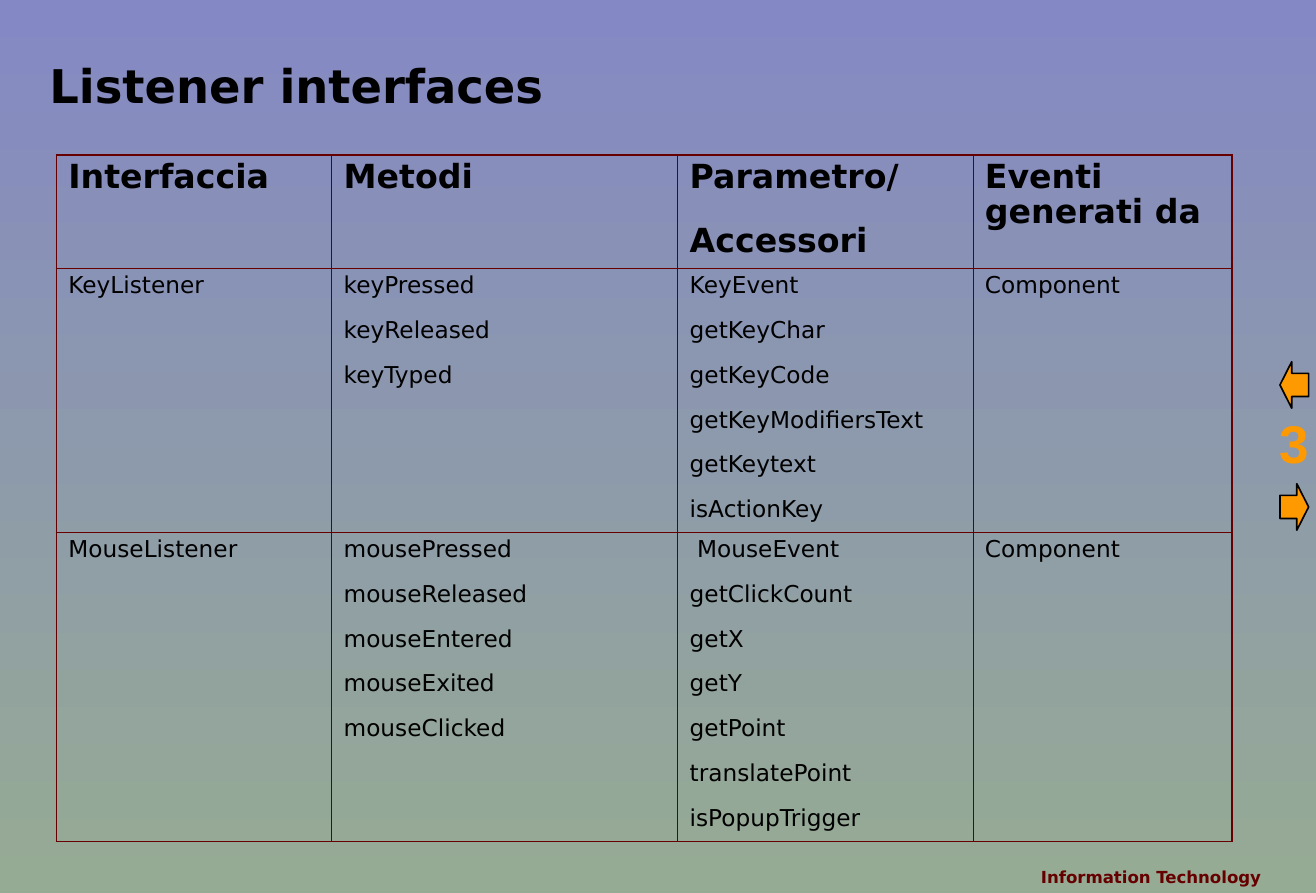
from lxml import etree
from pptx import Presentation
from pptx import util as u
from pptx.dml.color import RGBColor
from pptx.enum import shapes, text
from pptx.oxml import ns

COLORS = {"top": "8488C4", "bottom": "96AB94", "rule": "660000", "ink": "000000", "accent": "FF9900"}
TITLE = "Listener interfaces"
FOOTER = "Information Technology"
NUMBER = "3"
ROWS = [
    [["Interfaccia"], ["Metodi"], ["Parametro/", "Accessori"], ["Eventi generati da"]],
    [["KeyListener"],
     ["keyPressed", "keyReleased", "keyTyped"],
     ["KeyEvent", "getKeyChar", "getKeyCode", "getKeyModifiersText", "getKeytext", "isActionKey"],
     ["Component"]],
    [["MouseListener"],
     ["mousePressed", "mouseReleased", "mouseEntered", "mouseExited", "mouseClicked"],
     [" MouseEvent", "getClickCount", "getX", "getY", "getPoint", "translatePoint", "isPopupTrigger"],
     ["Component"]],
]
COLUMN_WIDTHS = [166, 208.7, 178, 156.2]
ROW_HEIGHTS = [68.2, 159.2, 186.7]
TABLE_LEFT, TABLE_TOP = 34, 93.6
OUTER, INNER = 1.08, 0.45
ARROWS = [(shapes.MSO_SHAPE.RIGHT_ARROW, 291.8), (shapes.MSO_SHAPE.LEFT_ARROW, 218.2)]


def rgb(name):
    """Return the named colour."""
    return RGBColor.from_string(COLORS[name])


def write(frame, lines, size, color="ink", font="DejaVu Sans", bold=True,
          align=text.PP_ALIGN.LEFT, spacing=None, before=None):
    """Fill a text frame with one paragraph per line."""
    for index, line in enumerate(lines):
        para = frame.add_paragraph() if index else frame.paragraphs[0]
        para.alignment = align
        para.line_spacing = spacing
        para.space_before = None if before is None else u.Pt(before)
        span = para.add_run()
        span.text = line
        span.font.name, span.font.size, span.font.bold = font, u.Pt(size), bold
        span.font.color.rgb = rgb(color)


def add_label(page, line, bounds, size, inset=(0, 0), wrap=True,
              anchor=text.MSO_ANCHOR.TOP, **style):
    """Add a text box holding one line."""
    frame = page.shapes.add_textbox(*map(u.Pt, bounds)).text_frame
    frame.word_wrap = wrap
    frame.auto_size = text.MSO_AUTO_SIZE.SHAPE_TO_FIT_TEXT
    frame.vertical_anchor = anchor
    frame.margin_left = frame.margin_right = u.Pt(inset[0])
    frame.margin_top = frame.margin_bottom = u.Pt(inset[1])
    write(frame, [line], size, **style)


def add_borders(cell, widths):
    """Draw the four cell borders from a side-to-width mapping."""
    properties = cell._tc.get_or_add_tcPr()
    for side, width in widths.items():
        line = etree.SubElement(properties, ns.qn(f"a:ln{side}"), w=str(int(u.Pt(width))))
        fill = etree.SubElement(line, ns.qn("a:solidFill"))
        etree.SubElement(fill, ns.qn("a:srgbClr"), val=COLORS["rule"])


def add_listener_table(page):
    """Add the table of listener interfaces."""
    last_row, last_column = len(ROWS) - 1, len(COLUMN_WIDTHS) - 1
    bounds = (TABLE_LEFT, TABLE_TOP, sum(COLUMN_WIDTHS), sum(ROW_HEIGHTS))
    table = page.shapes.add_table(len(ROWS), len(COLUMN_WIDTHS), *map(u.Pt, bounds)).table
    table.first_row = table.horz_banding = False
    for column, width in zip(table.columns, COLUMN_WIDTHS):
        column.width = u.Pt(width)
    for r, (row, height) in enumerate(zip(table.rows, ROW_HEIGHTS)):
        row.height = u.Pt(height)
        size, before = (14, 12.2) if r else (20, 17.5)
        for c, cell in enumerate(row.cells):
            write(cell.text_frame, ROWS[r][c], size, bold=r == 0,
                  align=text.PP_ALIGN.JUSTIFY, spacing=0.9, before=before)
            edges = {"L": c == 0, "R": c == last_column, "T": r == 0, "B": r == last_row}
            add_borders(cell, {side: OUTER if outer else INNER for side, outer in edges.items()})
            cell.fill.background()


def add_arrow(page, kind, top):
    """Add one navigation arrow."""
    arrow = page.shapes.add_shape(kind, *map(u.Pt, (771.8, top, 17.3, 28)))
    arrow.adjustments[0], arrow.adjustments[1] = 0.5, 0.41
    arrow.shadow.inherit = False
    arrow.fill.solid()
    arrow.fill.fore_color.rgb = rgb("accent")
    arrow.line.color.rgb = rgb("ink")
    arrow.line.width = u.Pt(1)


def main():
    """Build the slide and save it."""
    deck = Presentation()
    deck.slide_width, deck.slide_height = u.Pt(793.5), u.Pt(538.6)
    page = deck.slides.add_slide(deck.slide_layouts[6])
    backdrop = page.background.fill
    backdrop.gradient()
    backdrop.gradient_angle = 270
    for stop, name in zip(backdrop.gradient_stops, ("top", "bottom")):
        stop.color.rgb = rgb(name)

    add_label(page, FOOTER, (510.5, 519.1, 249.8, 19.4), 10, inset=(0, 3.6), color="rule",
              anchor=text.MSO_ANCHOR.BOTTOM, align=text.PP_ALIGN.RIGHT)
    add_label(page, TITLE, (29.8, 39.6, 742.3, 28.8), 28, spacing=0.85)
    add_listener_table(page)
    add_label(page, NUMBER, (763.9, 244.1, 32.4, 46.1), 32, inset=(7.2, 3.6), wrap=False,
              color="accent", font="Arial", align=text.PP_ALIGN.CENTER)
    for kind, top in ARROWS:
        add_arrow(page, kind, top)
    deck.save("out.pptx")


if __name__ == "__main__":
    main()
